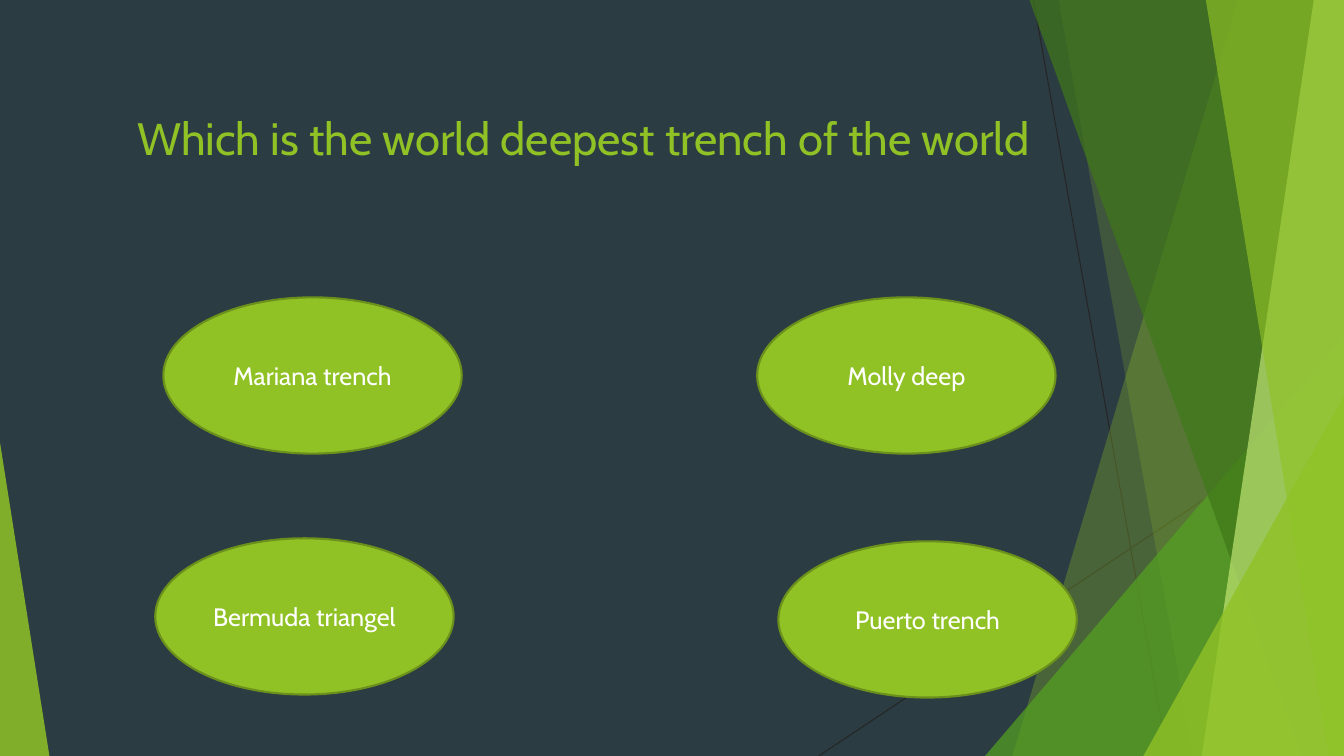
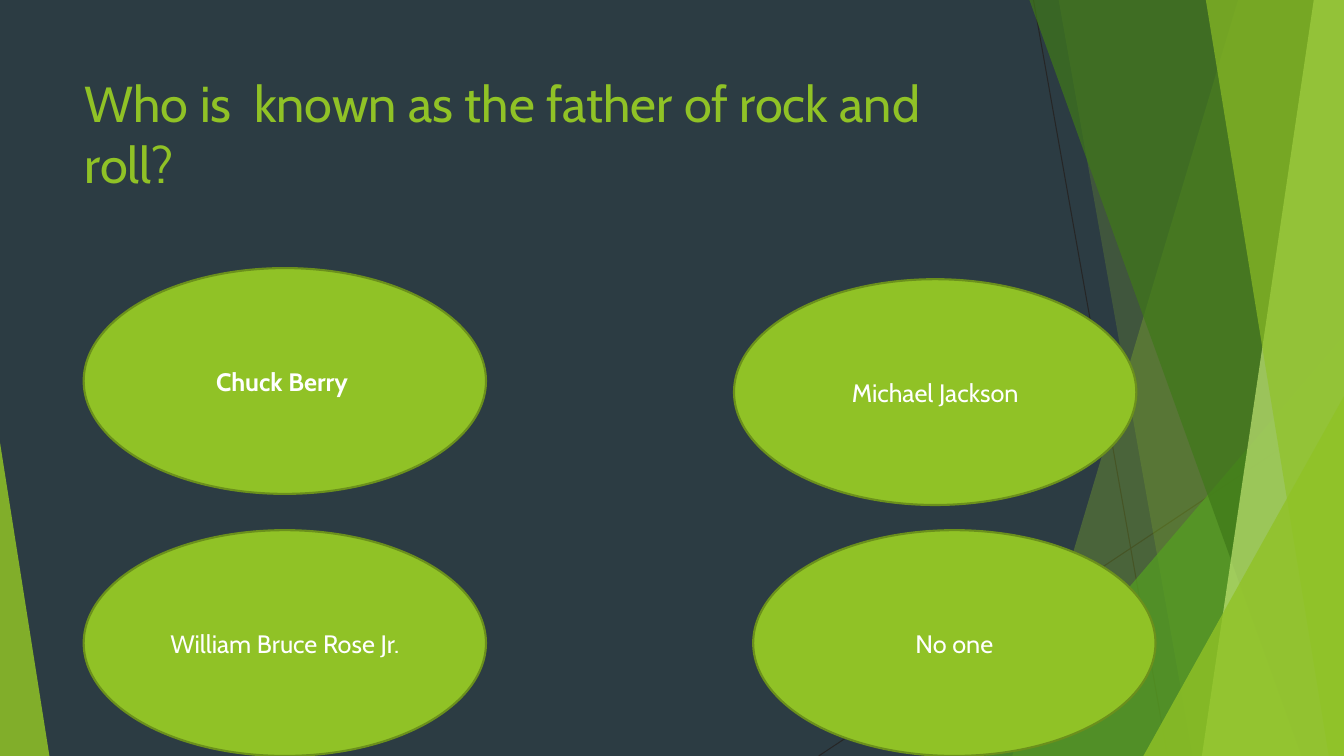
"""Builds two quiz slides over a shared backdrop of green facets."""
from dataclasses import dataclass

import pptx
import pptx.dml.color
import pptx.enum.shapes
import pptx.enum.text
import pptx.oxml
import pptx.util
from pptx.util import Inches


@dataclass(frozen=True)
class Theme:
    night: str = "2C3C43"
    lime: str = "90C226"
    olive: str = "6B901C"
    leaf: str = "54A021"
    forest: str = "3F7819"
    pale: str = "C0E474"
    ink: str = "262626"
    white: str = "FFFFFF"
    font: str = "Cabin"
    answer_size: float = 18
    hairline: float = 0.75
    outline: float = 1.5


theme = Theme()
WIDTH, HEIGHT = 13.33, 7.5
DRAWING = "http://schemas.openxmlformats.org/drawingml/2006/main"
shape_kinds = pptx.enum.shapes.MSO_SHAPE
anchors = pptx.enum.text.MSO_ANCHOR
alignments = pptx.enum.text.PP_ALIGN


def paint(shape, color, opacity=100):
    shape.shadow.inherit = False
    shape.fill.solid()
    shape.fill.fore_color.rgb = pptx.dml.color.RGBColor.from_string(color)
    shape.line.fill.background()
    if opacity < 100:
        tint = shape.element.spPr.find(f"{{{DRAWING}}}solidFill")[0]
        alpha = pptx.oxml.parse_xml(f'<a:alpha xmlns:a="{DRAWING}"/>')
        alpha.set("val", str(opacity * 1000))
        tint.append(alpha)


def write(frame, text, size, color, alignment, anchor, bold=False):
    frame.word_wrap = True
    frame.auto_size = pptx.enum.text.MSO_AUTO_SIZE.NONE
    frame.vertical_anchor = anchor
    frame.text = text
    para = frame.paragraphs[0]
    para.alignment = alignment
    para.font.name = theme.font
    para.font.size = pptx.util.Pt(size)
    para.font.bold = bold
    para.font.color.rgb = pptx.dml.color.RGBColor.from_string(color)


deck = pptx.Presentation()
deck.slide_width, deck.slide_height = Inches(WIDTH), Inches(HEIGHT)
layout = deck.slide_layouts.get_by_name("Title Only")
layout.background.fill.solid()
layout.background.fill.fore_color.rgb = pptx.dml.color.RGBColor.from_string(theme.night)
for holder in list(layout.placeholders):
    if holder.placeholder_format.idx:
        holder.element.getparent().remove(holder.element)

rays = [(10.25, 0, 11.58, HEIGHT), (WIDTH, 4.03, 8.12, HEIGHT)]
facets = [
    ("panel", (12.28, 10.04), theme.lime, 30),
    ("panel", (10.5, 11.83), theme.lime, 20),
    ("corner", (9.77, 3.33, 3.56, 1), theme.leaf, 72),
    ("panel", (10.21, 12.91), theme.forest, 70),
    ("panel", (13.03, 11.92), theme.pale, 70),
    ("panel", (11.96, 13.18), theme.lime, 65),
    ("corner", (11.34, 3.93, 1.99, 1), theme.lime, 80),
    ("corner", (0, 4.39, 0.49, 0), theme.lime, 85),
]

questions = [
    ("Which is the world deepest trench of the world", 32.4, (1.26, 1.04, 9.58, 1.2),
     (2.96, 1.55), [
         ("Mariana trench", 1.62, 2.95, False),
         ("Molly deep", 7.51, 2.95, False),
         ("Bermuda triangel", 1.54, 5.34, False),
         ("Puerto trench", 7.72, 5.37, False)]),
    ("Who is  known as the father of rock and roll?", 36, (0.74, 0.67, 9.4, 1.44),
     (3.99, 2.24), [
         ("Chuck Berry\u00a0", 0.83, 2.66, True),
         ("Michael Jackson", 7.28, 2.77, False),
         ("William Bruce Rose Jr.", 0.83, 5.26, False),
         ("No one", 7.47, 5.26, False)]),
]
pages = [deck.slides.add_slide(layout) for question in questions]

backdrop = []
canvas = pages[0].shapes
for ray in rays:
    line = canvas.add_connector(pptx.enum.shapes.MSO_CONNECTOR.STRAIGHT, *map(Inches, ray))
    line.line.color.rgb = pptx.dml.color.RGBColor.from_string(theme.ink)
    line.line.width = pptx.util.Pt(theme.hairline)
    line.element.spPr.append(pptx.oxml.parse_xml(f'<a:effectLst xmlns:a="{DRAWING}"/>'))
    backdrop.append(line)
for kind, geometry, color, opacity in facets:
    if kind == "panel":
        top, bottom = geometry
        builder = canvas.build_freeform(Inches(top), 0)
        corners = [(WIDTH, 0), (WIDTH, HEIGHT), (bottom, HEIGHT)]
        builder.add_line_segments([(Inches(x), Inches(y)) for x, y in corners], close=True)
        facet = builder.convert_to_shape()
    else:
        left, top, width, apex = geometry
        facet = canvas.add_shape(shape_kinds.ISOSCELES_TRIANGLE, Inches(left), Inches(top),
                                 Inches(width), Inches(HEIGHT - top))
        facet.adjustments[0] = apex
    paint(facet, color, opacity)
    backdrop.append(facet)
for shape in backdrop:
    layout.shapes.element.append(shape.element)

for page, (question, size, place, oval, answers) in zip(pages, questions):
    title = page.shapes.title
    title.left, title.top, title.width, title.height = map(Inches, place)
    write(title.text_frame, question, size, theme.lime, alignments.LEFT, anchors.TOP)
    for answer, left, top, bold in answers:
        box = page.shapes.add_shape(shape_kinds.OVAL, *map(Inches, (left, top, *oval)))
        paint(box, theme.lime)
        box.line.color.rgb = pptx.dml.color.RGBColor.from_string(theme.olive)
        box.line.width = pptx.util.Pt(theme.outline)
        write(box.text_frame, answer, theme.answer_size, theme.white,
              alignments.CENTER, anchors.MIDDLE, bold)

deck.save("out.pptx")
